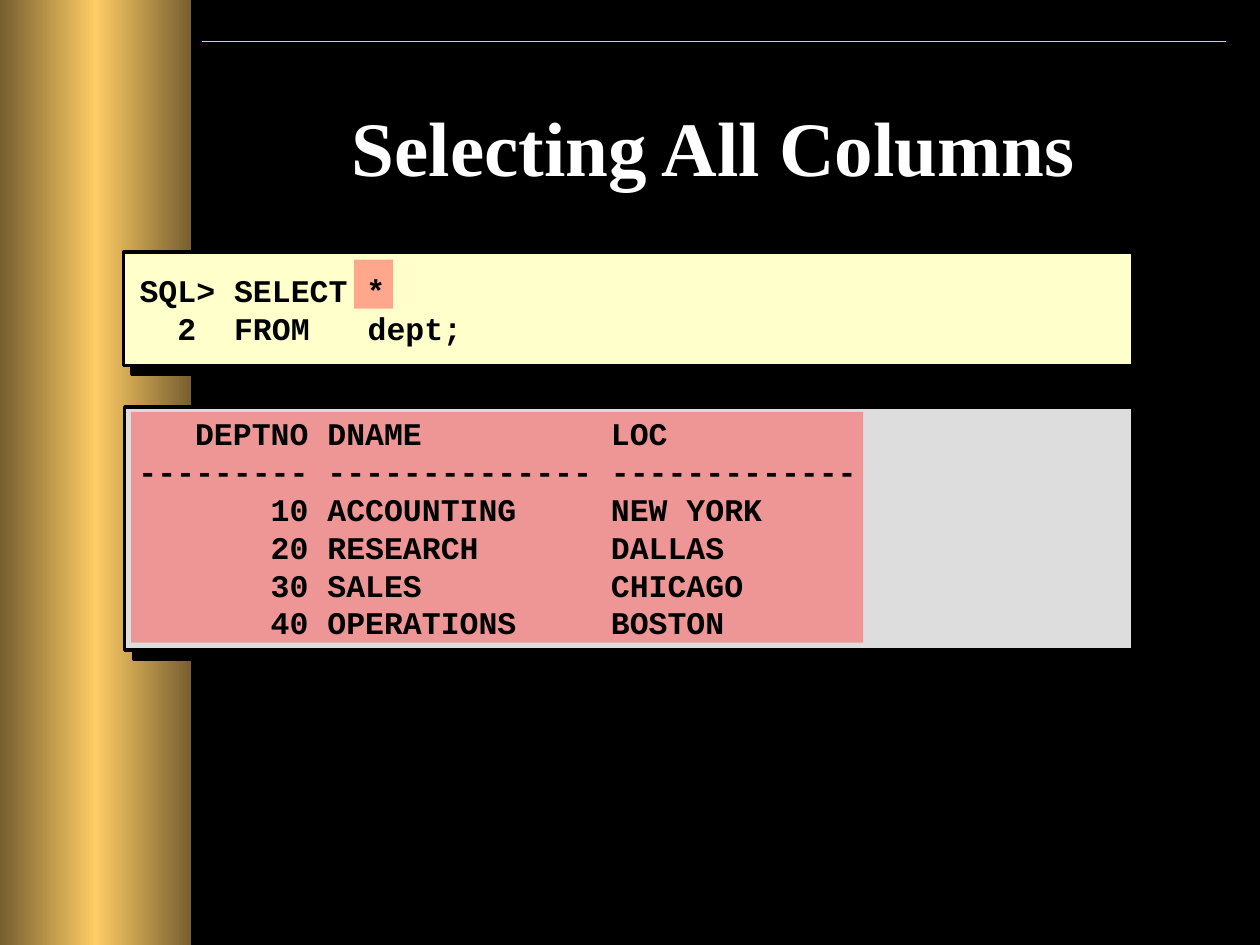
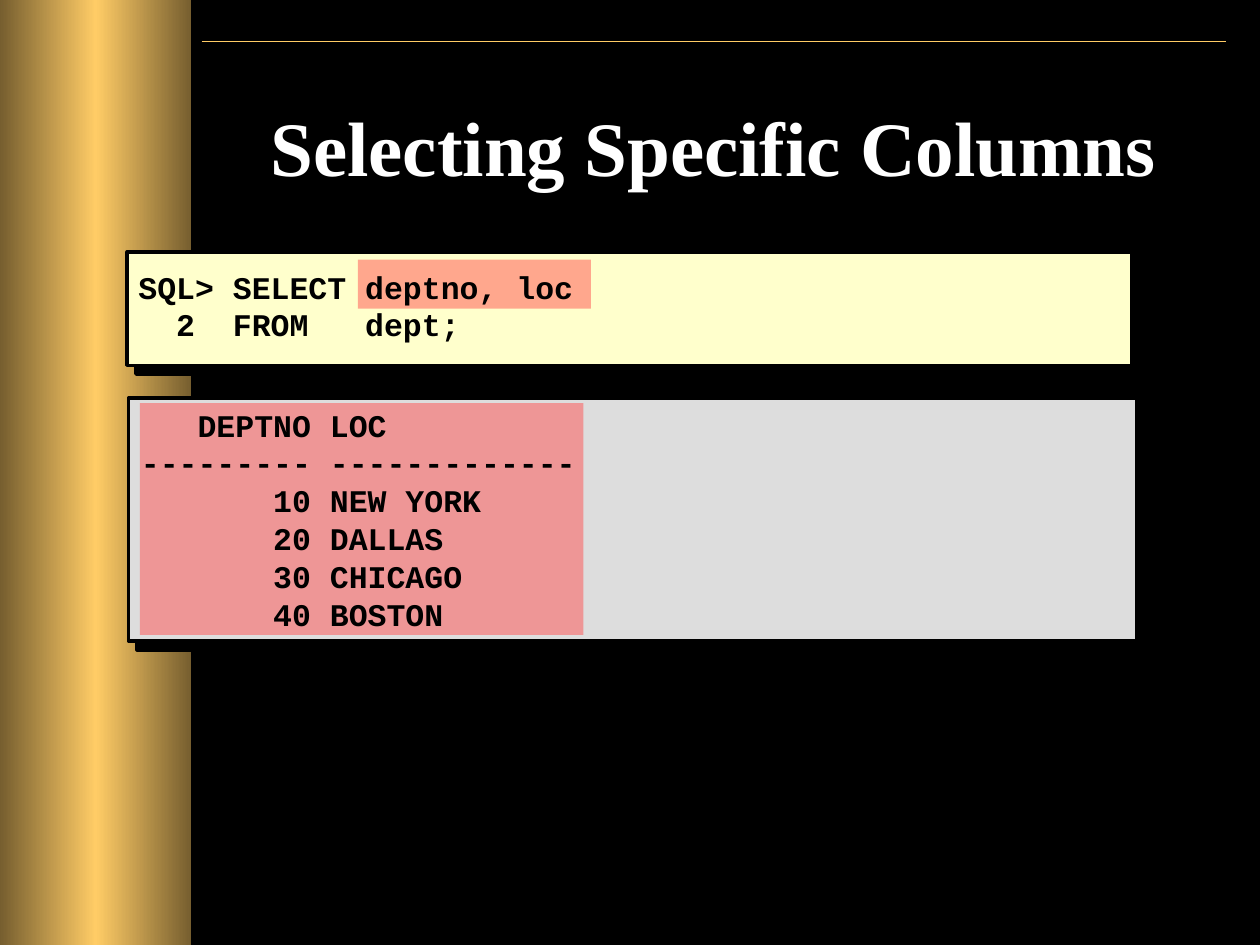
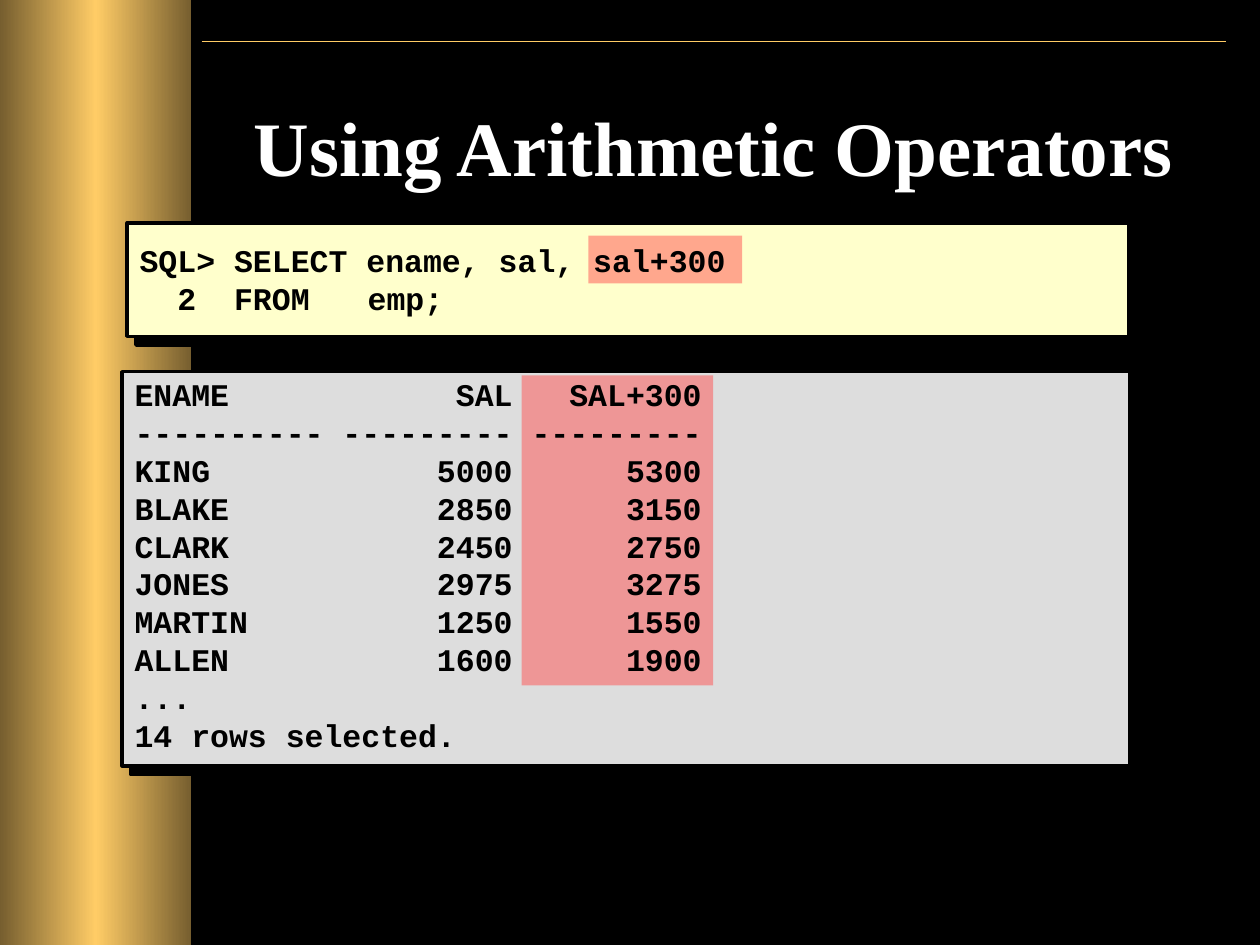
from copy import deepcopy

from lxml import etree
from pptx import Presentation
from pptx.dml.color import RGBColor
from pptx.enum.shapes import MSO_CONNECTOR, MSO_SHAPE
from pptx.enum.text import MSO_ANCHOR, PP_ALIGN
from pptx.oxml.ns import qn
from pptx.util import Emu, Inches, Pt

BLACK = RGBColor(0x00, 0x00, 0x00)
WHITE = RGBColor(0xFF, 0xFF, 0xFF)
GOLD = RGBColor(0xFF, 0xCC, 0x66)
DARK_GOLD = RGBColor(0x76, 0x5E, 0x2F)
CREAM = RGBColor(0xFF, 0xFF, 0xCC)
GREY = RGBColor(0xDD, 0xDD, 0xDD)
RED = RGBColor(0xFF, 0x50, 0x50)
RECT, STRAIGHT = MSO_SHAPE.RECTANGLE, MSO_CONNECTOR.STRAIGHT
TOP, MIDDLE, CENTER = MSO_ANCHOR.TOP, MSO_ANCHOR.MIDDLE, PP_ALIGN.CENTER
TITLE_FONT, CODE_FONT = "Times New Roman", "Courier New"
TAB_STOPS = (1.31, 1.81)

# Each block: panel colour, panel box, highlight box, text box, anchor, lines
SLIDES = [
    ("Selecting All Columns", [
        (CREAM, (0.98, 2, 8.01, 0.9), (2.81, 2.06, 0.31, 0.39),
         (1.01, 1.99, 7.96, 0.93), MIDDLE,
         ["SQL> SELECT *",
          "  2  FROM \tdept;"]),
        (GREY, (0.99, 3.23, 8, 1.93), (1.04, 3.27, 5.81, 1.83),
         (1, 3.24, 7.97, 1.9), TOP,
         ["   DEPTNO DNAME          LOC",
          "--------- -------------- -------------",
          "       10 ACCOUNTING     NEW YORK",
          "       20 RESEARCH       DALLAS",
          "       30 SALES          CHICAGO",
          "       40 OPERATIONS     BOSTON"]),
    ]),
    ("Selecting Specific Columns", [
        (CREAM, (1.01, 2, 7.97, 0.9), (2.84, 2.06, 1.85, 0.39),
         (1, 1.96, 8, 0.93), MIDDLE,
         ["SQL> SELECT deptno, loc",
          "  2  FROM   dept;"]),
        (GREY, (1.02, 3.16, 8, 1.93), (1.11, 3.2, 3.52, 1.84),
         (1.02, 3.17, 7.97, 1.9), TOP,
         ["   DEPTNO LOC",
          "--------- -------------",
          "       10 NEW YORK",
          "       20 DALLAS",
          "       30 CHICAGO",
          "       40 BOSTON"]),
    ]),
    ("Using Arithmetic Operators", [
        (CREAM, (1.01, 1.77, 7.95, 0.9), (4.67, 1.87, 1.22, 0.38),
         (1.01, 1.75, 7.97, 0.93), MIDDLE,
         ["SQL> SELECT ename, sal, sal+300",
          "  2  FROM\temp;"]),
        (GREY, (0.97, 2.95, 8, 3.13), (4.14, 2.98, 1.52, 2.46),
         (0.97, 2.93, 8.03, 3.1), TOP,
         ["ENAME            SAL   SAL+300",
          "---------- --------- ---------",
          "KING            5000      5300",
          "BLAKE           2850      3150",
          "CLARK           2450      2750",
          "JONES           2975      3275",
          "MARTIN          1250      1550",
          "ALLEN           1600      1900",
          "...",
          "14 rows selected."]),
    ]),
]


def add_rect(s, box, color):
    sp = s.shapes.add_shape(RECT, *map(Inches, box))
    sp.shadow.inherit = False
    sp.fill.solid()
    sp.fill.fore_color.rgb = color
    sp.line.fill.background()
    return sp


def add_run(p, text, font, size, color):
    r = p.add_run()
    r.text = text
    r.font.name = font
    r.font.size = Pt(size)
    r.font.bold = True
    r.font.color.rgb = color


prs = Presentation()
prs.slide_width, prs.slide_height = Inches(10), Inches(7.5)
bg = prs.slide_master.background.fill
bg.solid()
bg.fore_color.rgb = BLACK

for title, blocks in SLIDES:
    s = prs.slides.add_slide(prs.slide_layouts[5])

    # Gold band, darker at both edges
    band = add_rect(s, (0, 0, 1.52, 7.5), GOLD)
    band.fill.gradient()
    band.fill.gradient_angle = 0
    stops = band._element.spPr.find(qn("a:gradFill")).find(qn("a:gsLst"))
    stops.insert(1, deepcopy(stops[0]))
    stops[1].set("pos", "50000")
    for stop, color in zip(band.fill.gradient_stops, (DARK_GOLD, GOLD, DARK_GOLD)):
        stop.color.rgb = color

    # Top rule
    rule = s.shapes.add_connector(STRAIGHT, Inches(1.6), Inches(0.33), Inches(9.73), Inches(0.33))
    rule.line.color.rgb = GOLD
    rule.line.width = Pt(1)
    etree.SubElement(rule._element.spPr, qn("a:effectLst"))

    # Title
    sp = s.shapes.title
    sp.left, sp.top, sp.width, sp.height = map(Inches, (1.59, 0.67, 8.15, 1.25))
    tf = sp.text_frame
    tf.vertical_anchor = TOP
    tf.margin_top = Inches(0.12)
    p = tf.paragraphs[0]
    p.alignment = CENTER
    add_run(p, title, TITLE_FONT, 44, WHITE)

    # Query and result panels with a hard shadow
    for color, panel, highlight, text_box, anchor, lines in blocks:
        sp = add_rect(s, panel, color)
        sp.line.color.rgb = BLACK
        sp.line.width = Pt(2)
        effects = sp._element.spPr.find(qn("a:effectLst"))
        shadow = etree.SubElement(effects, qn("a:outerShdw"), dist=str(Emu(Pt(7.1))),
                                  dir="2700000", algn="ctr", rotWithShape="0")
        etree.SubElement(shadow, qn("a:srgbClr"), val=str(BLACK))

        # Half-transparent highlight
        sp = add_rect(s, highlight, RED)
        fill_color = sp._element.spPr.find(qn("a:solidFill"))[0]
        etree.SubElement(fill_color, qn("a:alpha"), val="50000")

        # Code lines
        tf = s.shapes.add_textbox(*map(Inches, text_box)).text_frame
        tf.word_wrap = True
        tf.vertical_anchor = anchor
        for i, line in enumerate(lines):
            p = tf.add_paragraph() if i else tf.paragraphs[0]
            if color == CREAM:
                tabs = etree.SubElement(p._p.get_or_add_pPr(), qn("a:tabLst"))
                for stop in TAB_STOPS:
                    etree.SubElement(tabs, qn("a:tab"), pos=str(Inches(stop)), algn="l")
            add_run(p, line, CODE_FONT, 18, BLACK)

prs.save("out.pptx")
